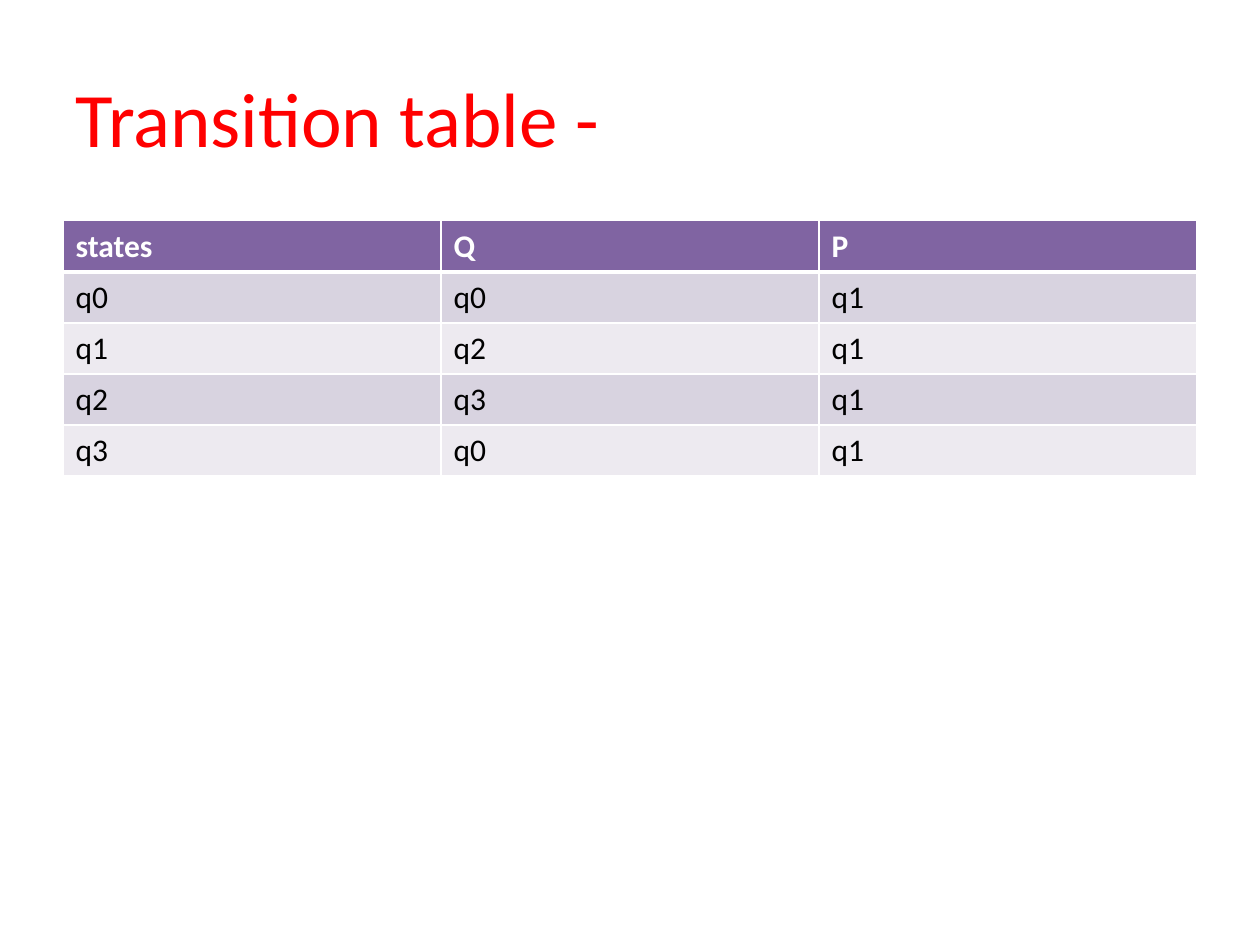
from typing import NamedTuple

from lxml import etree
from pptx import Presentation
from pptx.dml.color import RGBColor
from pptx.enum.text import MSO_ANCHOR
from pptx.oxml.ns import qn
from pptx.util import Cm, Pt

MIDDLE = MSO_ANCHOR.MIDDLE
FONT = "Calibri"
COLORS = {
    "title": "FF0000",
    "header": "8064A2",
    "odd": "D8D3E0",
    "even": "EDEAF0",
    "white": "FFFFFF",
    "black": "000000",
}
LEFT, WIDTH = Cm(1.27), Cm(22.86)
ROW_HEIGHT = Cm(1.03)
THIN, THICK = 1, 3


class Transition(NamedTuple):
    state: str
    on_q: str
    on_p: str


HEADER = Transition("states", "Q", "P")
TRANSITIONS = [
    Transition("q0", "q0", "q1"),
    Transition("q1", "q2", "q1"),
    Transition("q2", "q3", "q1"),
    Transition("q3", "q0", "q1"),
]


def write(tf, text: str, *, size: float, color: str, bold: bool = False) -> None:
    r = tf.paragraphs[0].add_run()
    r.text = text
    r.font.name = FONT
    r.font.size = Pt(size)
    r.font.bold = bold
    r.font.color.rgb = RGBColor.from_string(COLORS[color])


def set_borders(cell, top: float, bottom: float) -> None:
    tcPr = cell._tc.get_or_add_tcPr()
    widths = {"a:lnL": THIN, "a:lnR": THIN, "a:lnT": top, "a:lnB": bottom}
    for tag, width in widths.items():
        ln = etree.SubElement(tcPr, qn(tag), w=str(Pt(width)))
        fill = etree.SubElement(ln, qn("a:solidFill"))
        etree.SubElement(fill, qn("a:srgbClr"), val=COLORS["white"])


def draw_row(table, i: int, row: Transition) -> None:
    is_header = i == 0
    fill = "header" if is_header else "odd" if i % 2 else "even"
    table.rows[i].height = ROW_HEIGHT
    for cell, text in zip(table.rows[i].cells, row):
        # The rule below the header is shared with the first body row
        set_borders(cell, THICK if i == 1 else THIN, THICK if is_header else THIN)
        cell.fill.solid()
        cell.fill.fore_color.rgb = RGBColor.from_string(COLORS[fill])
        write(cell.text_frame, text, size=18, bold=is_header,
              color="white" if is_header else "black")


prs = Presentation()
prs.slide_width, prs.slide_height = Cm(25.4), Cm(19.05)
slide = prs.slides.add_slide(prs.slide_layouts[6])

# Title
sp = slide.shapes.add_textbox(LEFT, Cm(0.76), WIDTH, Cm(3.18))
tf = sp.text_frame
tf.word_wrap = True
tf.vertical_anchor = MIDDLE
write(tf, "Transition table -", size=44, color="title")

# Transition table
rows = [HEADER, *TRANSITIONS]
table = slide.shapes.add_table(
    len(rows), len(HEADER), LEFT, Cm(4.45), WIDTH, ROW_HEIGHT * len(rows)
).table
for i, row in enumerate(rows):
    draw_row(table, i, row)

prs.save("out.pptx")
